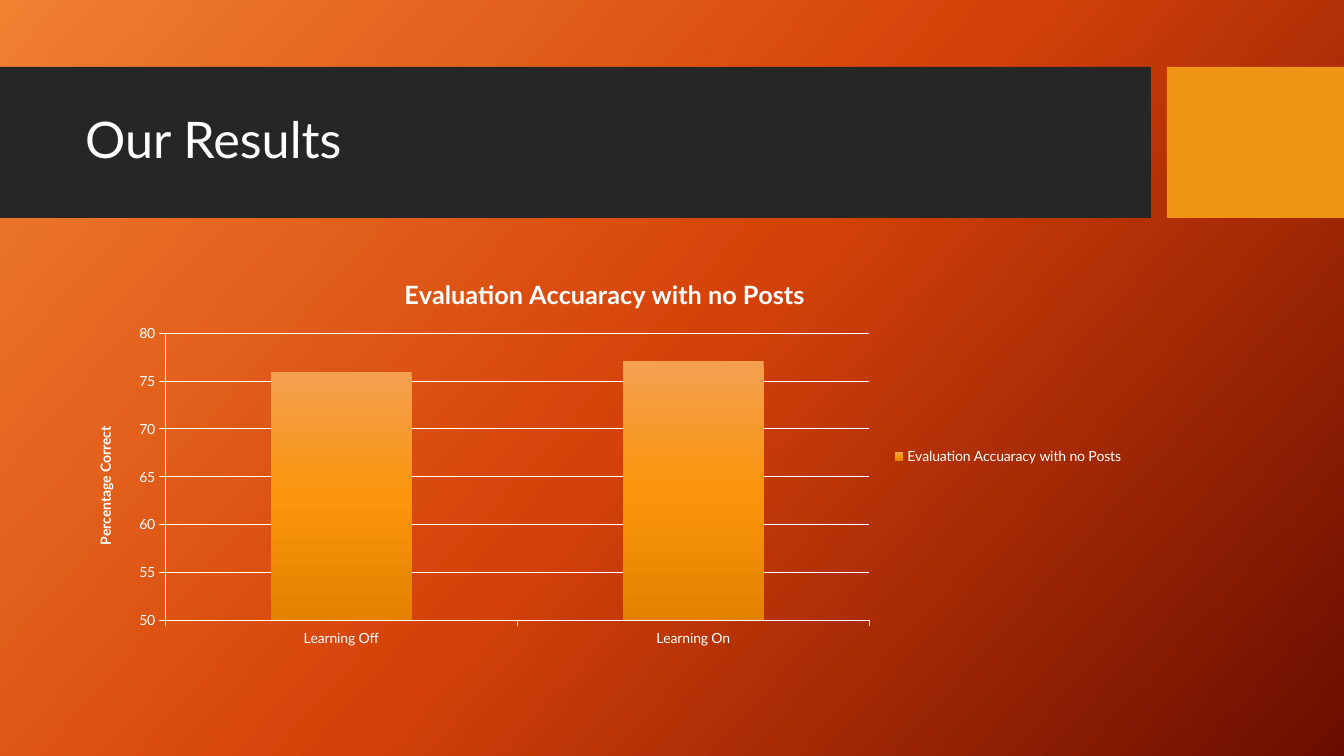
import copy
from dataclasses import dataclass

import pptx
import pptx.chart.data
import pptx.dml.color
import pptx.enum.chart
import pptx.enum.shapes
import pptx.enum.text
import pptx.util

EMU_PER_PX = 914400 / 100.8


@dataclass(frozen=True)
class Theme:
    """Colours, font and type sizes of the slide."""
    font: str = "Lato"
    text: str = "FFFFFF"
    band: str = "262626"
    accent: str = "F09415"
    backdrop: tuple = ((0, "F18031"), (0.5, "D54209"), (1, "6A0D00"))
    column: tuple = ((0, "F4A050"), (0.5, "FB950B"), (1, "E48200"))
    title_size: int = 36
    chart_title_size: int = 18
    chart_size: int = 10
    line_width: float = 0.75


THEME = Theme()


def px(length):
    """Turn pixels into EMU."""
    return pptx.util.Emu(round(length * EMU_PER_PX))


def rgb(colour):
    """Turn a hex string into a colour."""
    return pptx.dml.color.RGBColor.from_string(colour)


def style_font(font, size, bold=False):
    """Give a font the theme's face and text colour."""
    font.name = THEME.font
    font.size = pptx.util.Pt(size)
    font.bold = bold
    font.color.rgb = rgb(THEME.text)


def style_line(line):
    """Give a chart line the theme's text colour and width."""
    line.color.rgb = rgb(THEME.text)
    line.width = pptx.util.Pt(THEME.line_width)


def paint_gradient(fill, owner, stops, clockwise):
    """Fill with a linear gradient, its angle measured clockwise."""
    fill.gradient()
    fill.gradient_angle = 360 - clockwise
    stop_list = owner.xpath(".//a:gsLst")[0]
    while len(stop_list) < len(stops):
        stop_list.append(copy.deepcopy(stop_list[0]))
    for stop, (position, colour) in zip(fill.gradient_stops, stops):
        stop.position = position
        stop.color.rgb = rgb(colour)


def add_block(slide, box, colour):
    """Add a plain rectangle."""
    block = slide.shapes.add_shape(
        pptx.enum.shapes.MSO_SHAPE.RECTANGLE, *map(px, box))
    block.shadow.inherit = False
    block.fill.solid()
    block.fill.fore_color.rgb = rgb(colour)
    block.line.fill.background()


def add_header(slide, box, heading):
    """Build the dark band, the accent block and the title."""
    left, top, width, height = box
    accent_width, gap = 177, 16
    band_width = width - accent_width - gap
    add_block(slide, (left, top, band_width, height), THEME.band)
    add_block(slide, (left + width - accent_width, top, accent_width, height),
              THEME.accent)

    title = slide.shapes.title
    slide.shapes.element.append(title.element)
    title.left, title.top = px(left + 75), px(top + 16)
    title.width, title.height = px(1059), px(119)
    frame = title.text_frame
    frame.word_wrap = True
    frame.vertical_anchor = pptx.enum.text.MSO_ANCHOR.MIDDLE
    paragraph = frame.paragraphs[0]
    paragraph.alignment = pptx.enum.text.PP_ALIGN.LEFT
    paragraph.line_spacing = 0.9
    run = paragraph.add_run()
    run.text = heading
    style_font(run.font, THEME.title_size)


def set_chart_title(titled, text, size):
    """Write the bold title of a chart or an axis."""
    run = titled.text_frame.paragraphs[0].add_run()
    run.text = text
    style_font(run.font, size, bold=True)


def add_accuracy_chart(slide, box):
    """Build the column chart of evaluation accuracy."""
    measure = "Evaluation Accuaracy with no Posts"
    accuracy = pptx.chart.data.CategoryChartData()
    accuracy.categories = ["Learning Off", "Learning On"]
    accuracy.add_series(measure, (75.9, 77.1))
    chart = slide.shapes.add_chart(
        pptx.enum.chart.XL_CHART_TYPE.COLUMN_CLUSTERED,
        *map(px, box), accuracy).chart
    style_font(chart.font, THEME.chart_size)
    chart.has_title = True
    set_chart_title(chart.chart_title, measure, THEME.chart_title_size)
    chart.chart_title.include_in_layout = False

    chart.has_legend = True
    chart.legend.position = pptx.enum.chart.XL_LEGEND_POSITION.RIGHT
    chart.legend.include_in_layout = False
    style_font(chart.legend.font, THEME.chart_size)

    for axis in (chart.category_axis, chart.value_axis):
        axis.major_tick_mark = pptx.enum.chart.XL_TICK_MARK.OUTSIDE
        axis.minor_tick_mark = pptx.enum.chart.XL_TICK_MARK.NONE
        style_line(axis.format.line)
        style_font(axis.tick_labels.font, THEME.chart_size)
    percentage = chart.value_axis
    percentage.minimum_scale, percentage.maximum_scale = 50, 80
    percentage.major_unit = 5
    percentage.has_major_gridlines = True
    style_line(percentage.major_gridlines.format.line)
    set_chart_title(percentage.axis_title, "Percentage Correct",
                    THEME.chart_size)

    plot = chart.plots[0]
    plot.gap_width = 150
    plot.vary_by_categories = False
    columns = plot.series[0]
    paint_gradient(columns.format.fill, columns._element, THEME.column, 90)


def main():
    """Build and save the presentation."""
    deck = pptx.Presentation()
    deck.slide_width, deck.slide_height = px(1344), px(756)
    slide = deck.slides.add_slide(deck.slide_layouts.get_by_name("Title Only"))
    paint_gradient(slide.background.fill, slide.element, THEME.backdrop, 42)
    add_header(slide, (0, 67, 1344, 151), "Our Results")
    add_accuracy_chart(slide, (75, 258, 1059, 397))
    deck.save("out.pptx")


if __name__ == "__main__":
    main()
